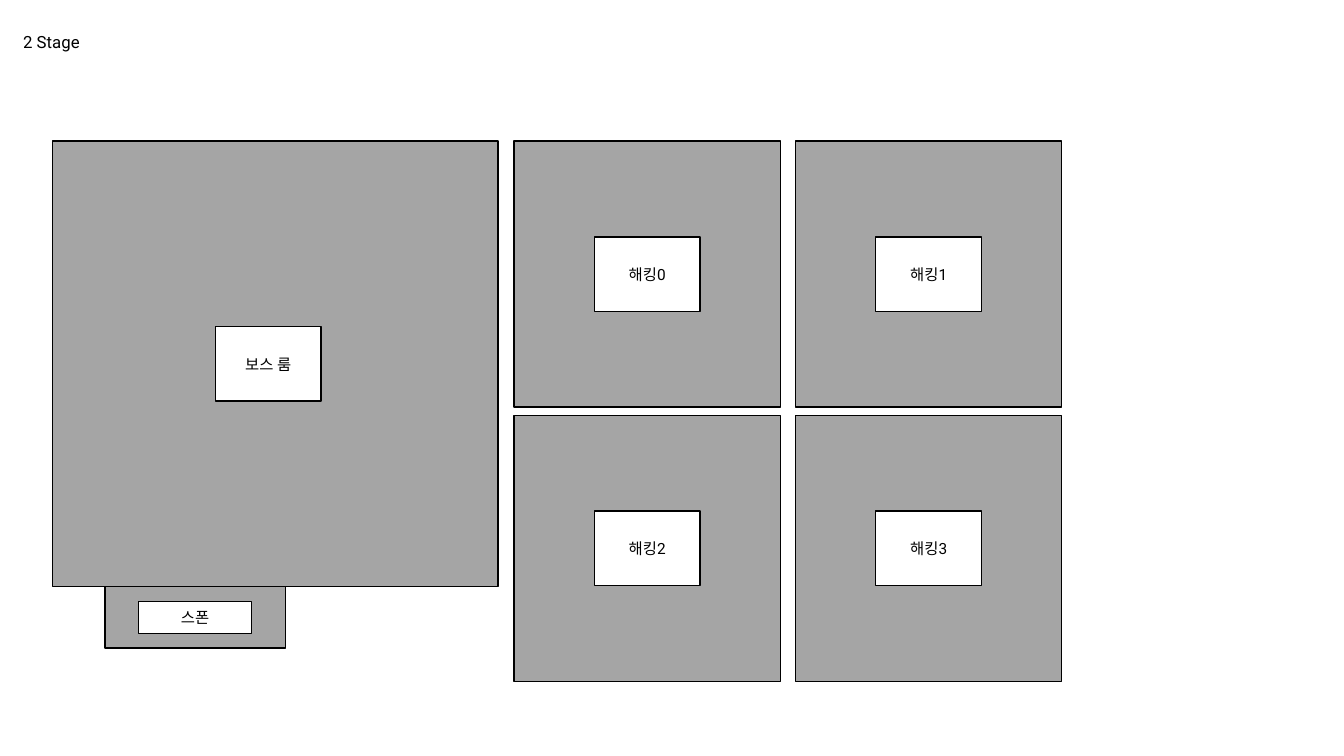
import pptx
import pptx.util
import pptx.dml.color
import pptx.enum.shapes
import pptx.enum.text

Inches = pptx.util.Inches
Pt = pptx.util.Pt
RGBColor = pptx.dml.color.RGBColor
PP_ALIGN = pptx.enum.text.PP_ALIGN
MSO_ANCHOR = pptx.enum.text.MSO_ANCHOR

BLACK = RGBColor(0x00, 0x00, 0x00)
WHITE = RGBColor(0xFF, 0xFF, 0xFF)
ROOM_GRAY = RGBColor(0xA5, 0xA5, 0xA5)
FONT = "Roboto"
TITLE_ONLY_LAYOUT = 5

SIGN_SIZE = (1.05, 0.74)
HACKING_SIDE = 2.64
HACKING_LEFT, HACKING_TOP = 5.1, 1.4
COLUMN_STEP, ROW_STEP = 2.79, 2.72


def add_run(paragraph, text, size):
    run = paragraph.add_run()
    run.text = text
    run.font.name = FONT
    run.font.size = Pt(size)
    run.font.color.rgb = BLACK


def add_title(slide, text):
    title = slide.shapes.title
    title.left, title.top = Inches(0.13), Inches(0.26)
    title.width, title.height = Inches(0.77), Inches(0.3)
    frame = title.text_frame
    frame.word_wrap = False
    frame.auto_size = pptx.enum.text.MSO_AUTO_SIZE.SHAPE_TO_FIT_TEXT
    frame.vertical_anchor = MSO_ANCHOR.TOP
    paragraph = frame.paragraphs[0]
    paragraph.alignment = PP_ALIGN.LEFT
    add_run(paragraph, text, 12)


def add_box(slide, left, top, width, height, fill):
    box = slide.shapes.add_shape(
        pptx.enum.shapes.MSO_SHAPE.RECTANGLE,
        Inches(left), Inches(top), Inches(width), Inches(height))
    box.shadow.inherit = False
    box.fill.solid()
    box.fill.fore_color.rgb = fill
    box.line.color.rgb = BLACK
    box.line.width = Pt(1)
    return box


def add_room(slide, name, left, top, width, height, sign_size=SIGN_SIZE, sign_shift=0):
    add_box(slide, left, top, width, height, ROOM_GRAY)
    sign_width, sign_height = sign_size
    sign_left = left + (width - sign_width) / 2 + sign_shift
    sign_top = top + (height - sign_height) / 2
    sign = add_box(slide, sign_left, sign_top, sign_width, sign_height, WHITE)
    frame = sign.text_frame
    frame.word_wrap = True
    frame.vertical_anchor = MSO_ANCHOR.MIDDLE
    paragraph = frame.paragraphs[0]
    paragraph.alignment = PP_ALIGN.CENTER
    add_run(paragraph, name, 11)


def main():
    deck = pptx.Presentation()
    deck.slide_width, deck.slide_height = Inches(13.33), Inches(7.5)
    slide = deck.slides.add_slide(deck.slide_layouts[TITLE_ONLY_LAYOUT])

    add_title(slide, "2 Stage")
    add_room(slide, "보스 룸", 0.52, 1.4, 4.42, 4.42, sign_shift=-0.07)
    add_room(slide, "스폰", 1.04, 5.82, 1.79, 0.61, sign_size=(1.12, 0.32))
    for number in range(4):
        row, column = divmod(number, 2)
        add_room(slide, f"해킹{number}",
                 HACKING_LEFT + column * COLUMN_STEP, HACKING_TOP + row * ROW_STEP,
                 HACKING_SIDE, HACKING_SIDE)

    deck.save("out.pptx")


main()
